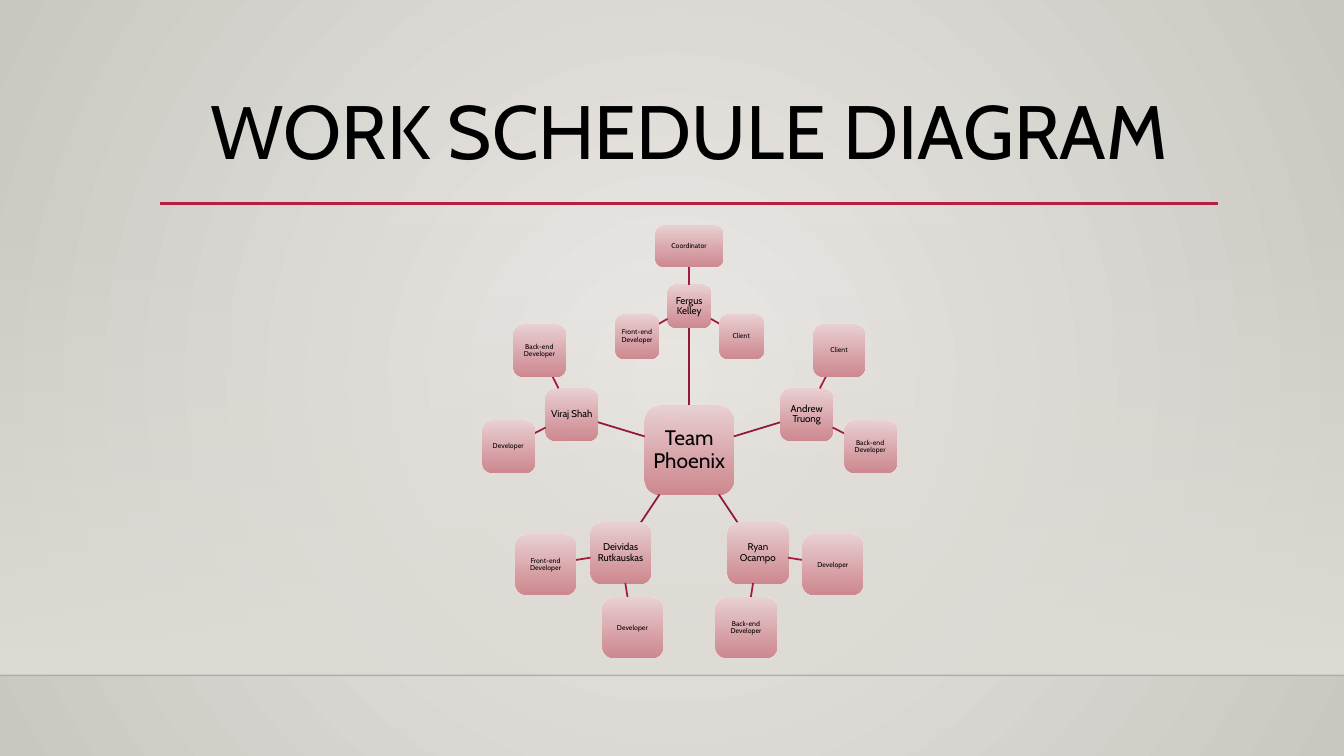
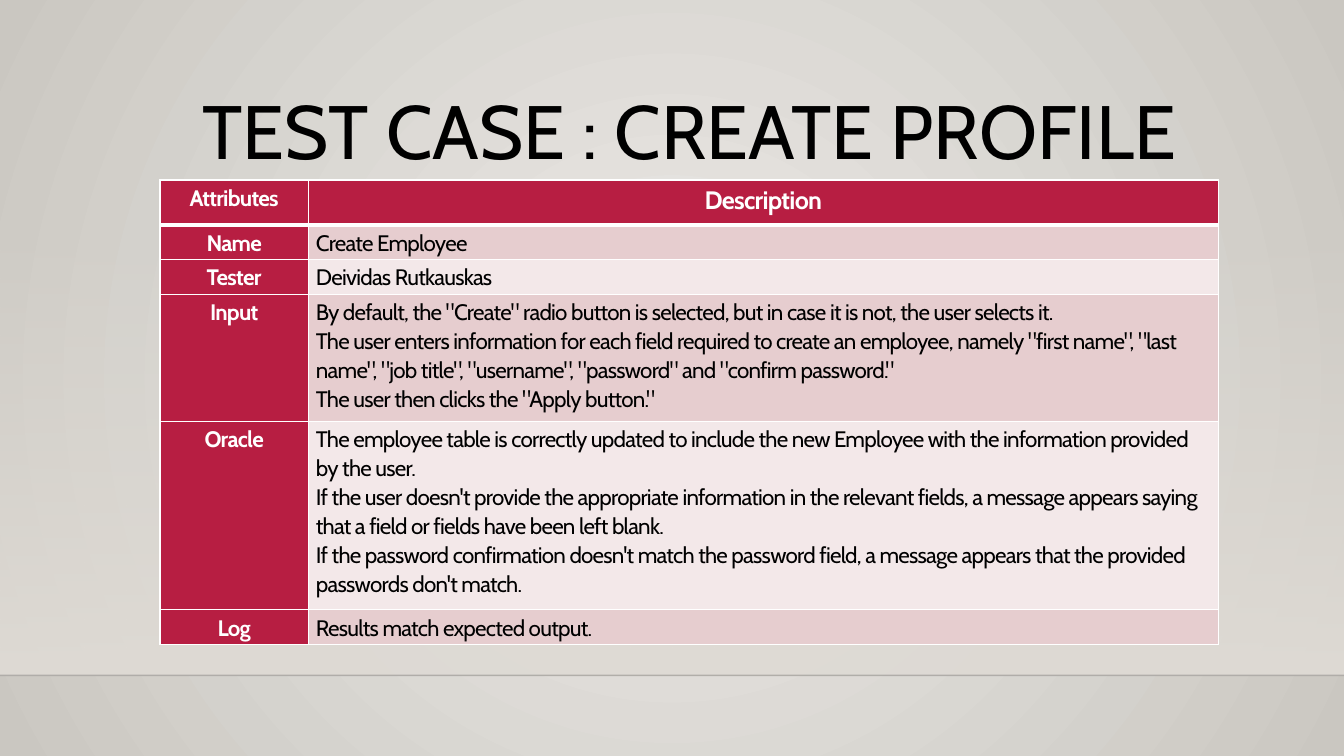
from collections import namedtuple
from math import cos, radians, sin

from lxml.etree import SubElement
from pptx import Presentation
from pptx.dml.color import RGBColor
from pptx.enum.shapes import MSO_CONNECTOR as CONNECTOR, MSO_SHAPE as SHAPE
from pptx.enum.text import MSO_ANCHOR as ANCHOR, PP_ALIGN as ALIGN
from pptx.oxml.ns import qn
from pptx.util import Pt

BLACK = RGBColor(0x00, 0x00, 0x00)
WHITE = RGBColor(0xFF, 0xFF, 0xFF)
FLOOR_LINE = RGBColor(0x00, 0x00, 0x01)
RED = RGBColor(0xB7, 0x1E, 0x42)
TEAM_LINE = RGBColor(0x93, 0x18, 0x35)
ROLE_LINE = RGBColor(0xA6, 0x1B, 0x3C)
NODE_TOP = RGBColor(0xEA, 0xD1, 0xD3)
NODE_BOTTOM = RGBColor(0xCD, 0x82, 0x8A)
GLOW = RGBColor(0xEC, 0xEA, 0xE7)
EDGE = RGBColor(0xCA, 0xC7, 0xC1)
WALL = RGBColor(0xDF, 0xDB, 0xD5)
ROW_DARK = RGBColor(0xE6, 0xCD, 0xCF)
ROW_LIGHT = RGBColor(0xF3, 0xE8, 0xE9)

FONT = "Cabin"
SLIDE_WIDTH, SLIDE_HEIGHT = 960, 540
LEFT, CONTENT_WIDTH = 114.3, 756
FLOOR_TOP = 482.4

Node = namedtuple("Node", "x y width height")

# Each member: name, angle and distance from the team, box size,
# distance of the roles, and the roles with their angles.
MEMBERS = [
    ("Fergus Kelley", 270, 102.6, 31, 43,
     [("Coordinator", 270), ("Client", 30), ("Front-end Developer", 150)]),
    ("Andrew Truong", 343.1, 87.7, 37, 50.9,
     [("Client", 297), ("Back-end Developer", 27)]),
    ("Ryan Ocampo", 56.3, 88.4, 43, 54.2,
     [("Developer", 9), ("Back-end Developer", 99)]),
    ("Deividas Rutkauskas", 123.7, 88.4, 43, 54.2,
     [("Developer", 81), ("Front-end Developer", 171)]),
    ("Viraj Shah", 196.9, 87.7, 37, 50.9,
     [("Developer", 153), ("Back-end Developer", 243)]),
]
ROLE_SIZES = {"Coordinator": (47.5, 29.5)}

TEST_CASE = [
    ("Attributes", ["Description"]),
    ("Name", ["Create Employee"]),
    ("Tester", ["Deividas Rutkauskas"]),
    ("Input", [
        'By default, the "Create" radio button is selected, but in case it is '
        'not, the user selects it.',
        'The user enters information for each field required to create an '
        'employee, namely "first name", "last name", "job title", "username", '
        '"password" and "confirm password."',
        'The user then clicks the "Apply button."']),
    ("Oracle", [
        "The employee table is correctly updated to include the new Employee "
        "with the information provided by the user.",
        "If the user doesn't provide the appropriate information in the "
        "relevant fields, a message appears saying that a field or fields "
        "have been left blank.",
        "If the password confirmation doesn't match the password field, a "
        "message appears that the provided passwords don't match."]),
    ("Log", ["Results match expected output."]),
]
COLUMN_WIDTHS = [106, 650]
ROW_HEIGHTS = [32, 24.8, 24.8, 90.8, 134.5, 24.8]


def set_gradient(fill, start, end):
    """Fill with a gradient that runs from top to bottom."""
    fill.gradient()
    fill.gradient_angle = 270
    for stop, color in zip(fill.gradient_stops, (start, end)):
        stop.color.rgb = color


def set_opacity(shape, index, percent):
    """Set the opacity of one of the colours of a shape."""
    color = list(shape.element.iter(qn("a:srgbClr")))[index]
    SubElement(color, qn("a:alpha")).set("val", str(percent * 1000))


def add_text(paragraph, text, size, color=BLACK, bold=False,
             align=ALIGN.CENTER, spacing=0.9):
    """Add one formatted run to a paragraph and return it."""
    paragraph.alignment = align
    paragraph.line_spacing = spacing
    run = paragraph.add_run()
    run.text = text
    run.font.name = FONT
    run.font.size = Pt(size)
    run.font.bold = bold
    run.font.color.rgb = color
    return run


def add_line(slide, start, end, color, width):
    """Draw a straight line without a shadow."""
    line = slide.shapes.add_connector(
        CONNECTOR.STRAIGHT, *(Pt(value) for value in (*start, *end)))
    line.line.color.rgb = color
    line.line.width = Pt(width)
    SubElement(line.element.spPr, qn("a:effectLst"))
    return line


def set_backdrop(layout):
    """Give the layout its round glow and keep only its title."""
    for placeholder in list(layout.placeholders)[1:]:
        layout.shapes.element.remove(placeholder.element)
    set_gradient(layout.background.fill, GLOW, EDGE)
    gradient = next(layout.element.iter(qn("a:gradFill")))
    gradient.remove(gradient.find(qn("a:lin")))
    circle = SubElement(gradient, qn("a:path"))
    circle.set("path", "circle")
    center = SubElement(circle, qn("a:fillToRect"))
    for side in "ltrb":
        center.set(side, "50000")


def move_decor_to_layout(slide, layout):
    """Draw the wall, floor line and title rule, and move them to the layout."""
    wall = slide.shapes.add_shape(
        SHAPE.RECTANGLE, 0, Pt(159), Pt(SLIDE_WIDTH), Pt(FLOOR_TOP - 159))
    wall.shadow.inherit = False
    wall.line.fill.background()
    set_gradient(wall.fill, WALL, WALL)
    set_opacity(wall, 0, 0)
    floor = add_line(slide, (0, FLOOR_TOP), (SLIDE_WIDTH, FLOOR_TOP),
                     FLOOR_LINE, 1)
    set_opacity(floor, 0, 20)
    rule = add_line(slide, (LEFT, 145.3), (LEFT + CONTENT_WIDTH, 145.3), RED, 2.5)
    for position, shape in enumerate((wall, floor, rule), start=2):
        layout.shapes.element.insert(position, shape.element)


def add_titled_slide(presentation, layout, text):
    """Add a slide with the shared title style."""
    slide = presentation.slides.add_slide(layout)
    title = slide.shapes.title
    title.left, title.top = Pt(LEFT), Pt(63.4)
    title.width, title.height = Pt(CONTENT_WIDTH), Pt(82.5)
    title.text_frame.vertical_anchor = ANCHOR.TOP
    title.text_frame.word_wrap = True
    add_text(title.text_frame.paragraphs[0], text, 54)
    return slide


def add_node(slide, node, text, size, margin):
    """Draw a rounded box around the centre of a node."""
    shape = slide.shapes.add_shape(
        SHAPE.ROUNDED_RECTANGLE, Pt(node.x - node.width / 2),
        Pt(node.y - node.height / 2), Pt(node.width), Pt(node.height))
    shape.shadow.inherit = False
    shape.line.fill.background()
    set_gradient(shape.fill, NODE_TOP, NODE_BOTTOM)
    set_opacity(shape, 1, 92)
    frame = shape.text_frame
    frame.word_wrap = True
    frame.vertical_anchor = ANCHOR.MIDDLE
    frame.margin_left = frame.margin_right = Pt(margin)
    frame.margin_top = frame.margin_bottom = Pt(margin)
    add_text(frame.paragraphs[0], text, size)


def around(node, angle, distance, width, height):
    """Return a node at an angle and distance from another one."""
    return Node(node.x + distance * cos(radians(angle)),
                node.y + distance * sin(radians(angle)), width, height)


def edge_point(node, target):
    """Return where the line towards a target leaves the box of a node."""
    across, down = target.x - node.x, target.y - node.y
    share = 0.5 / max(abs(across) / node.width, abs(down) / node.height)
    return node.x + across * share, node.y + down * share


def link(slide, parent, child, color):
    """Join the edges of two nodes."""
    add_line(slide, edge_point(parent, child), edge_point(child, parent),
             color, 1.25)


def add_team_diagram(slide):
    """Draw the team, its members and their roles."""
    team = Node(492.3, 321.4, 63.6, 63.6)
    add_node(slide, team, "Team Phoenix", 15, 2)
    for name, angle, distance, size, role_distance, roles in MEMBERS:
        member = around(team, angle, distance, size, size)
        link(slide, team, member, TEAM_LINE)
        add_node(slide, member, name, 7, 1)
        for role, role_angle in roles:
            width, height = ROLE_SIZES.get(role, (size, size))
            box = around(member, role_angle, role_distance, width, height)
            link(slide, member, box, ROLE_LINE)
            add_node(slide, box, role, 5, 0.7)


def set_borders(cell, top, bottom):
    """Give a cell white borders; the sides are one point wide."""
    properties = cell._tc.get_or_add_tcPr()
    widths = {"a:lnL": 1, "a:lnR": 1, "a:lnT": top, "a:lnB": bottom}
    for position, (tag, width) in enumerate(widths.items()):
        border = SubElement(properties, qn(tag))
        border.set("w", str(Pt(width)))
        fill = SubElement(border, qn("a:solidFill"))
        SubElement(fill, qn("a:srgbClr")).set("val", str(WHITE))
        properties.insert(position, border)


def fill_cell(cell, texts, size, fill, heading):
    """Write the paragraphs of a cell, as a heading or as plain text."""
    cell.fill.solid()
    cell.fill.fore_color.rgb = fill
    cell.margin_left = cell.margin_right = Pt(5.4)
    cell.margin_top = cell.margin_bottom = Pt(2.1)
    frame = cell.text_frame
    for index, text in enumerate(texts):
        paragraph = frame.add_paragraph() if index else frame.paragraphs[0]
        run = add_text(paragraph, text, size, WHITE if heading else BLACK,
                       heading, ALIGN.CENTER if heading else ALIGN.LEFT, 1.07)
        run.font._element.set("spc", "-50")


def add_test_table(slide):
    """Add the table of the test case."""
    table = slide.shapes.add_table(
        len(TEST_CASE), 2, Pt(LEFT), Pt(128.6), Pt(CONTENT_WIDTH),
        Pt(sum(ROW_HEIGHTS))).table
    for column, width in zip(table.columns, COLUMN_WIDTHS):
        column.width = Pt(width)
    for index, (attribute, description) in enumerate(TEST_CASE):
        table.rows[index].height = Pt(ROW_HEIGHTS[index])
        header = index == 0
        row_fill = RED if header else ROW_DARK if index % 2 else ROW_LIGHT
        left, right = table.cell(index, 0), table.cell(index, 1)
        fill_cell(left, [attribute], 16, RED, True)
        fill_cell(right, description, 18 if header else 16, row_fill, header)
        for cell in (left, right):
            set_borders(cell, 3 if index == 1 else 1, 3 if header else 1)


def main():
    """Build both slides and save the presentation."""
    presentation = Presentation()
    presentation.slide_width = Pt(SLIDE_WIDTH)
    presentation.slide_height = Pt(SLIDE_HEIGHT)
    layout = presentation.slide_layouts[5]
    set_backdrop(layout)

    diagram_slide = add_titled_slide(presentation, layout, "WORK SCHEDULE DIAGRAM")
    move_decor_to_layout(diagram_slide, layout)
    add_team_diagram(diagram_slide)

    test_slide = add_titled_slide(presentation, layout, "TEST CASE : CREATE PROFILE")
    add_test_table(test_slide)
    presentation.save("out.pptx")


main()
